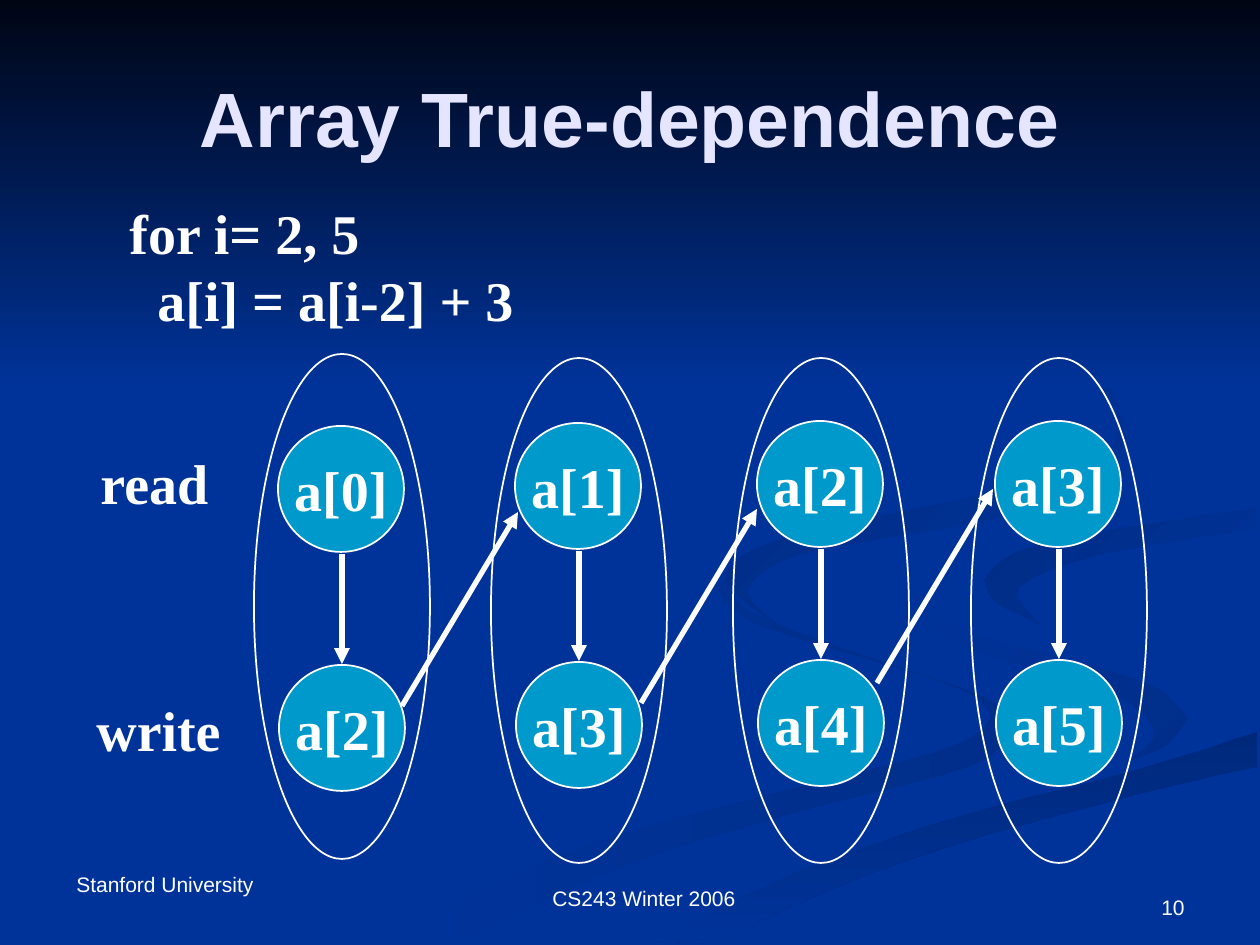
"""Build the slide on array true-dependence: ribbons, texts, iteration ovals, arrows."""
from lxml.etree import SubElement
from pptx import Presentation
from pptx.dml.color import RGBColor
from pptx.enum.shapes import MSO_CONNECTOR, MSO_SHAPE
from pptx.enum.text import MSO_ANCHOR as Anchor, PP_ALIGN as Align
from pptx.oxml.ns import qn
from pptx.util import Inches, Pt

PX = 914400 // 126
WIDTH, BOTTOM = 1260, 944
WHITE, BLUE, TEAL, LAVENDER = "FFFFFF", "003399", "0099CC", "E5E5FF"
SERIF, SANS = "Times New Roman", "Arial"
color = RGBColor.from_string


def write(shape, text, size=32, font=SERIF, fill=WHITE, bold=True,
          align=Align.LEFT, anchor=Anchor.TOP, wrap=False):
    """Put formatted text into a shape, one paragraph per line."""
    frame = shape.text_frame
    frame.text = text
    frame.word_wrap = wrap
    frame.vertical_anchor = anchor
    for paragraph in frame.paragraphs:
        paragraph.alignment = align
        paragraph.font.size = Pt(size)
        paragraph.font.name = font
        paragraph.font.bold = bold
        paragraph.font.color.rgb = color(fill)


def smooth(knots, steps=4):
    """Return points on a Catmull-Rom curve through the knots."""
    padded = [knots[0], *knots, knots[-1]]
    points = []
    for span in zip(padded, padded[1:], padded[2:], padded[3:]):
        for t in (step / steps for step in range(steps)):
            points.append(tuple(
                round(b + t / 2 * (c - a + t * (2 * a - 5 * b + 4 * c - d
                                                + t * (3 * b - a - 3 * c + d))))
                for a, b, c, d in zip(*span)))
    return points + [knots[-1]]


presentation = Presentation()
presentation.slide_width, presentation.slide_height = Inches(10), Inches(7.5)
slide = presentation.slides.add_slide(presentation.slide_layouts[6])
slide.background.fill.solid()
slide.background.fill.fore_color.rgb = color(BLUE)

left_outer = [(725, 578), (748, 611), (859, 654), (984, 697), (1008, 732), (969, 767),
              (820, 806), (670, 849), (543, 900), (455, BOTTOM)]
left_inner = [(378, BOTTOM), (525, 869), (679, 818), (881, 767), (966, 740), (989, 713),
              (948, 684), (824, 646), (747, 619), (718, 590)]
curl_outer = [(912, 585), (939, 617), (999, 641), (1098, 668), (1159, 689), (1188, 718)]
curl_tip = [(1188, 718), (1174, 743), (1126, 762)]
curl_inner = [(1126, 762), (1155, 732), (1109, 692), (984, 653), (931, 622), (912, 585)]
tail_top = [(1257, 732), (1139, 769), (964, 815), (794, 873), (654, 941)]
tail_under = [(719, BOTTOM), (818, 895), (948, 847), (1138, 794), (1257, 767)]
ribbon_under = [(1188, 718), (1148, 756), (983, 799), (780, 862), (601, BOTTOM)]
ribbon_inner = [(1257, 678), (1139, 654), (1048, 627), (990, 596), (984, 580)]
fold_top = [(984, 580), (1008, 557), (1070, 538), (1257, 507)]
fold_under = [(1257, 529), (1106, 553), (1019, 587), (1041, 625)]
fold_tip = [(1041, 625), (997, 603), (984, 580)]
ribbon_back = [(1257, 488), (1101, 514), (993, 532), (922, 562), (912, 585)]
upper_inner = [(861, 542), (1040, 507), (1120, 456), (1109, 387), (1034, 329), (960, 294)]
upper_outer = [(960, 294), (1077, 359), (1119, 430), (1061, 476), (887, 515), (762, 546),
               (727, 582), (784, 630)]
upper_tip = [(784, 630), (747, 592), (786, 559), (861, 542)]
band_corners = [[(0, 0)], [(0, 388)], [(WIDTH, 388)], [(WIDTH, 0)]]

for edges, start, end, angle in [
        ([left_outer, left_inner], "002E8A", BLUE, 180),
        ([curl_outer, curl_tip, curl_inner], "002E8A", BLUE, 135),
        ([tail_top, tail_under], "00297C", BLUE, 270),
        ([curl_outer, ribbon_under, tail_top[::-1], ribbon_inner, fold_top, ribbon_back],
         BLUE, BLUE, 0),
        ([fold_top, fold_under, fold_tip], BLUE, "002C85", 135),
        ([upper_inner, upper_outer, upper_tip], BLUE, "002B81", 135),
        (band_corners, "000514", BLUE, 270)]:
    outline = [point for edge in edges for point in smooth(edge)]
    builder = slide.shapes.build_freeform(*outline[0], scale=PX)
    builder.add_line_segments(outline[1:], close=True)
    ribbon = builder.convert_to_shape()
    ribbon.shadow.inherit = False
    ribbon.line.fill.background()
    ribbon.fill.gradient()
    ribbon.fill.gradient_angle = angle
    for stop, shade in zip(ribbon.fill.gradient_stops, (start, end)):
        stop.color.rgb = color(shade)

small = dict(size=12, font=SANS, bold=False, wrap=True)
heading = dict(size=44, font=SANS, fill=LAVENDER, align=Align.CENTER,
               anchor=Anchor.MIDDLE, wrap=True)
page_number = dict(small, align=Align.RIGHT, anchor=Anchor.BOTTOM)
for left, top, width, height, text, style in [
        (540, 879, 240, 38, "CS243 Winter 2006", small),
        (64, 865, 237, 38, "Stanford University", small),
        (63, 38, 1134, 157, "Array True-dependence", heading),
        (117, 192, 455, 147, "for i= 2, 5\n  a[i] = a[i-2] + 3", {}),
        (88, 442, 156, 81, "read", {}),
        (84, 689, 176, 81, "write", {}),
        (903, 861, 294, 65, "10", page_number)]:
    box = slide.shapes.add_textbox(left * PX, top * PX, width * PX, height * PX)
    write(box, text, **style)

NODE, ROW_STEP = 126, 239
RING_WIDTH, RING_HEIGHT = 176, 505
RISE_X, RISE_Y = 116, -194
rings = [(254, 354, 426), (491, 358, 423), (733, 358, 421), (971, 358, 421)]
rise_starts = [(402, 706), (641, 703), (877, 683)]

arrows = [(x, y, x + RISE_X, y + RISE_Y) for x, y in rise_starts]
for index, (left, top, read_top) in enumerate(rings):
    middle = left + RING_WIDTH // 2
    arrows.append((middle, read_top + NODE + 2, middle, read_top + ROW_STEP - 1))
    for x, y, width, height, label in [
            (left + 24, read_top, NODE, NODE, f"a[{index}]"),
            (left + 25, read_top + ROW_STEP, NODE, NODE, f"a[{index + 2}]"),
            (left, top, RING_WIDTH, RING_HEIGHT, "")]:
        oval = slide.shapes.add_shape(
            MSO_SHAPE.OVAL, x * PX, y * PX, width * PX, height * PX)
        oval.shadow.inherit = False
        oval.line.color.rgb = color(WHITE)
        oval.line.width = Pt(1)
        if label:
            oval.fill.solid()
            oval.fill.fore_color.rgb = color(TEAL)
            write(oval, label, align=Align.CENTER, anchor=Anchor.MIDDLE)
        else:
            oval.fill.background()

for ends in arrows:
    arrow = slide.shapes.add_connector(
        MSO_CONNECTOR.STRAIGHT, *(end * PX for end in ends))
    arrow.line.color.rgb = color(WHITE)
    arrow.line.width = Pt(3)
    SubElement(arrow.line._get_or_add_ln(), qn("a:tailEnd"), type="triangle")
    SubElement(arrow._element.spPr, qn("a:effectLst"))

presentation.save("out.pptx")
